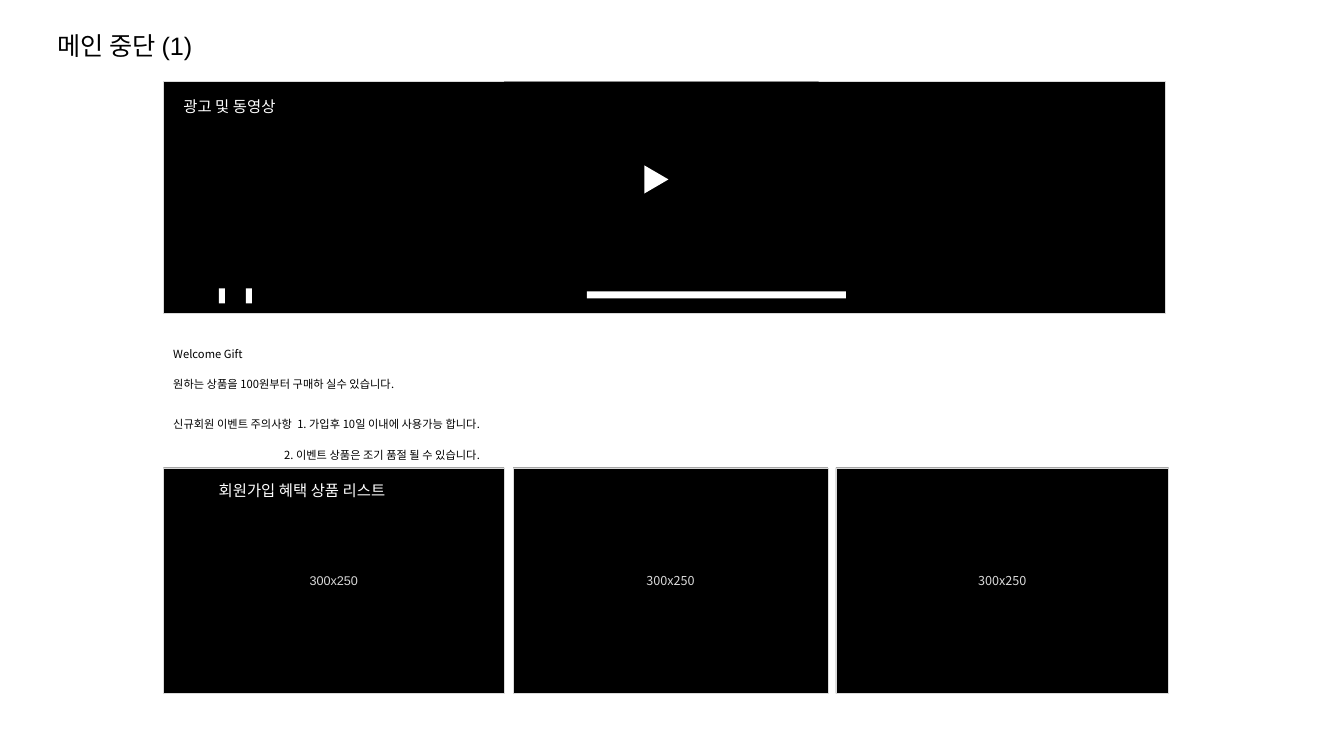
from lxml import etree
from pptx import Presentation
from pptx.dml.color import RGBColor
from pptx.enum.shapes import MSO_SHAPE
from pptx.enum.text import MSO_ANCHOR, MSO_AUTO_SIZE, PP_ALIGN
from pptx.oxml.ns import qn
from pptx.util import Inches, Pt

COLORS = {"black": "000000", "white": "FFFFFF", "border": "D9D9D9"}
LATIN = "Arial"
KOREAN = "Noto Sans CJK KR"


def color(name):
    return RGBColor.from_string(COLORS[name])


def style_paragraph(paragraph, size, font_name, color_name):
    """Set the font for both Latin and Korean letters."""
    font = paragraph.font
    font.size = Pt(size)
    font.name = font_name
    font.color.rgb = color(color_name)
    east_asian = etree.SubElement(font._element, qn("a:ea"))
    east_asian.set("typeface", KOREAN)


def add_block(slide, box, fill, kind=MSO_SHAPE.RECTANGLE, border=False):
    shape = slide.shapes.add_shape(kind, *map(Inches, box))
    shape.shadow.inherit = False
    shape.fill.solid()
    shape.fill.fore_color.rgb = color(fill)
    if border:
        shape.line.color.rgb = color("border")
        shape.line.width = Pt(0.25)
    else:
        shape.line.fill.background()
    return shape


def add_text(slide, box, lines, size, font_name, color_name, spacing=None):
    text_box = slide.shapes.add_textbox(*map(Inches, box))
    frame = text_box.text_frame
    frame.word_wrap = True
    frame.text = "\n".join(lines)
    for paragraph in frame.paragraphs:
        style_paragraph(paragraph, size, font_name, color_name)
        if spacing:
            paragraph.line_spacing = spacing
    return frame


def add_title(slide, box):
    title = slide.shapes.title
    title.left, title.top, title.width, title.height = map(Inches, box)
    frame = title.text_frame
    frame.text = "메인 중단 (1)"
    frame.auto_size = MSO_AUTO_SIZE.NONE
    frame.vertical_anchor = MSO_ANCHOR.TOP
    paragraph = frame.paragraphs[0]
    paragraph.alignment = PP_ALIGN.LEFT
    style_paragraph(paragraph, 18, LATIN, "black")


def add_video_banner(slide, box):
    left, top, width, height = box
    add_block(slide, box, "black", border=True)
    add_text(slide, (left + 0.1, top + 0.1, 4.17, 0.28), ["광고 및 동영상"],
             11, LATIN, "white")
    add_block(slide, (left + 3.38, top, 3.12, 2.25), "black")
    play = add_block(slide, (left + 4.75, top + 0.85, 0.28, 0.24), "white",
                     MSO_SHAPE.ISOSCELES_TRIANGLE)
    play.rotation = 90
    add_block(slide, (left + 4.2, top + 2.08, 2.57, 0.07), "white")
    for pause_offset in (0.55, 0.82):
        add_block(slide, (left + pause_offset, top + 2.05, 0.06, 0.15), "white")


def add_event_notes(slide, box):
    left, top, width, height = box
    groups = [
        ["Welcome Gift", "원하는 상품을 100원부터 구매하 실수 있습니다."],
        ["신규회원 이벤트 주의사항\u00a0 1. 가입후 10일 이내에 사용가능 합니다.",
         "2. 이벤트 상품은 조기 품절 될 수 있습니다."],
    ]
    for index, lines in enumerate(groups):
        frame = add_text(slide, (left, top + index * 0.7, width, height), lines,
                         8, KOREAN, "black", spacing=2.25)
    second_notice = frame.paragraphs[1]
    second_notice._p.get_or_add_pPr().set("marL", str(Inches(1.1)))


def add_product_cards(slide, box):
    left, top, width, height = box
    cards = [(0, 3.38, LATIN), (3.47, 3.12, KOREAN), (6.67, 3.3, KOREAN)]
    for offset, card_width, font_name in cards:
        card = add_block(slide, (left + offset, top, card_width, height),
                         "black", border=True)
        frame = card.text_frame
        frame.text = "300x250"
        frame.vertical_anchor = MSO_ANCHOR.MIDDLE
        paragraph = frame.paragraphs[0]
        paragraph.alignment = PP_ALIGN.CENTER
        style_paragraph(paragraph, 9, font_name, "border")
    add_text(slide, (left + 0.45, top + 0.08, 2.57, 0.69),
             ["회원가입 혜택 상품 리스트"], 11, KOREAN, "white")


def main():
    presentation = Presentation()
    presentation.slide_width = Inches(13.33)
    presentation.slide_height = Inches(7.5)
    title_only = presentation.slide_layouts[5]
    slide = presentation.slides.add_slide(title_only)
    add_title(slide, (0.47, 0.25, 4.17, 0.39))
    add_video_banner(slide, (1.62, 0.81, 9.94, 2.3))
    add_event_notes(slide, (1.62, 3.23, 6.47, 0.63))
    add_product_cards(slide, (1.62, 4.64, 9.97, 2.24))
    presentation.save("out.pptx")


if __name__ == "__main__":
    main()
